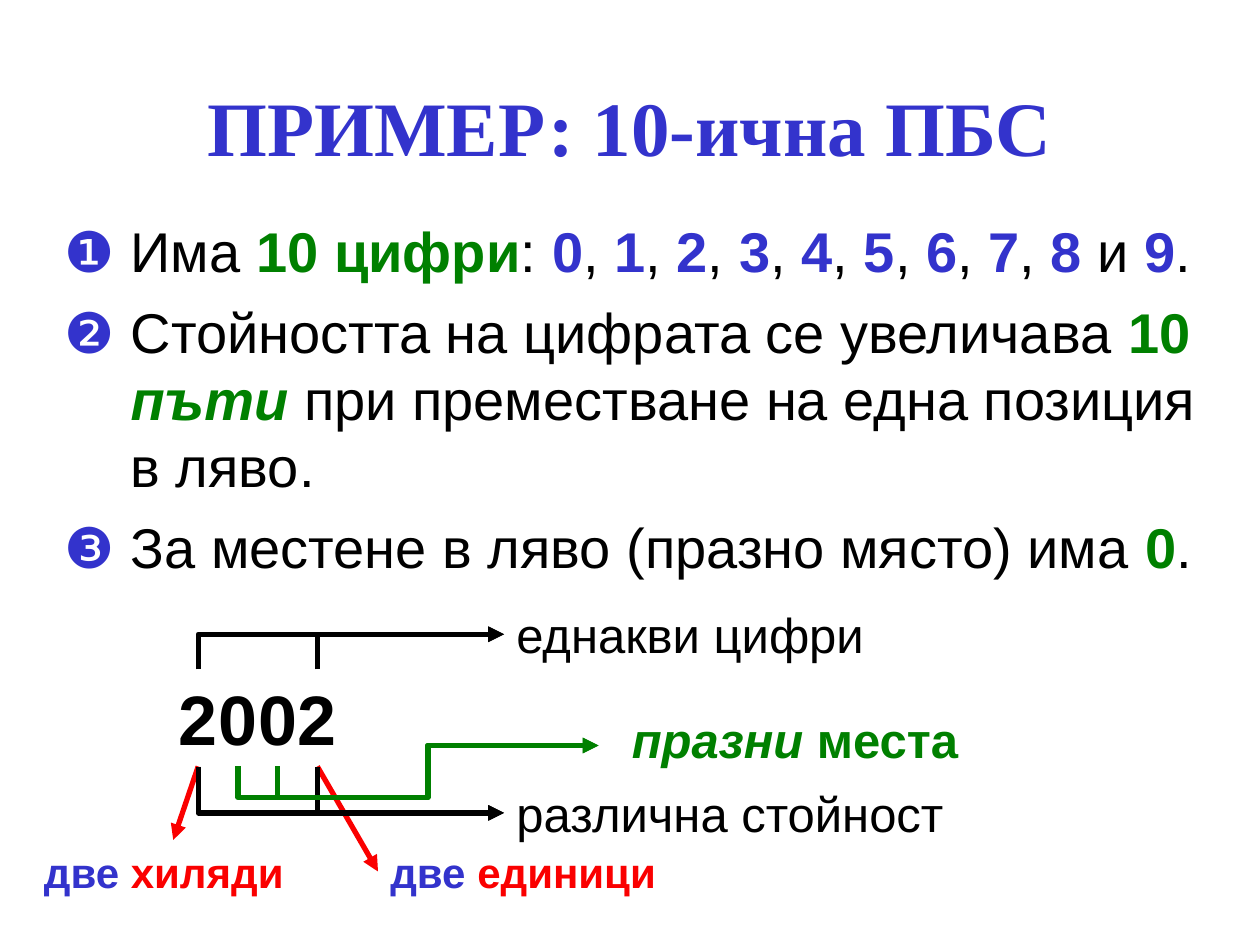
from lxml import etree
from pptx import Presentation
from pptx.dml.color import RGBColor
from pptx.enum.shapes import MSO_CONNECTOR
from pptx.enum.text import MSO_ANCHOR, MSO_AUTO_SIZE, PP_ALIGN
from pptx.oxml.ns import qn
from pptx.util import Pt

LINE, ELBOW = MSO_CONNECTOR.STRAIGHT, MSO_CONNECTOR.ELBOW
LEFT, MID = PP_ALIGN.LEFT, PP_ALIGN.CENTER
TOP, CENTER = MSO_ANCHOR.TOP, MSO_ANCHOR.MIDDLE
FIT = MSO_AUTO_SIZE.SHAPE_TO_FIT_TEXT
BLACK, BLUE, GREEN, RED = "000000", "3333CC", "008000", "FA0000"


def color(code):
    return RGBColor.from_string(code)


class Deck:
    def __init__(self):
        self.font = "Arial"
        self.width = 3
        self.prs = Presentation()
        self.prs.slide_width, self.prs.slide_height = Pt(720), Pt(540)
        self.slide = self.prs.slides.add_slide(self.prs.slide_layouts[6])

    def text(self, box, paras, size, before=0, font=None, align=LEFT,
             anchor=TOP, side=7.2, indent=0):
        shape = self.slide.shapes.add_textbox(*map(Pt, box))
        frame = shape.text_frame
        frame.word_wrap = True
        frame.vertical_anchor = anchor
        frame.margin_left = frame.margin_right = Pt(side)
        for num, runs in enumerate(paras):
            para = frame.add_paragraph() if num else frame.paragraphs[0]
            para.alignment = align
            para.space_before = Pt(before)
            if indent:
                props = para._p.get_or_add_pPr()
                props.set("marL", str(Pt(indent)))
                props.set("indent", str(Pt(-indent)))
            for words, tint, style in runs:
                run = para.add_run()
                run.text = words
                run.font.name = font or self.font
                run.font.size = Pt(size)
                run.font.bold = "b" in style
                run.font.italic = "i" in style
                run.font.color.rgb = color(tint)
        return frame

    def label(self, left, top, wide, runs, size=28):
        high = 41 if size == 28 else 36
        frame = self.text((left, top, wide, high), [runs], size, size * 0.625)
        frame.auto_size = FIT

    def arrow(self, start, end, tint, kind=LINE):
        link = self.slide.shapes.add_connector(kind, *map(Pt, start + end))
        link.line.color.rgb = color(tint)
        link.line.width = Pt(self.width)
        line = link.line._get_or_add_ln()
        etree.SubElement(line, qn("a:tailEnd"), type="triangle")
        props = link._element.spPr
        etree.SubElement(props, qn("a:effectLst"))
        return props

    def bend(self, start, end, tint, turn=None):
        (x1, y1), (x2, y2) = start, end
        wide, high = abs(y2 - y1), x2 - x1
        left, top = (x1 + x2 - wide) / 2, (y1 + y2 - high) / 2
        props = self.arrow((left, top), (left + wide, top + high), tint, ELBOW)
        rise = y2 < y1
        frame = props.find(qn("a:xfrm"))
        frame.set("rot", str((90 if rise else 270) * 60000))
        frame.set("flipH", "1")
        if rise:
            frame.set("flipV", "1")
        geom = props.find(qn("a:prstGeom"))
        geom.set("prst", "bentConnector4" if turn else "bentConnector2")
        if turn:
            tx, ty = turn
            parts = (ty - y1) / (y2 - y1), (tx - x1) / high
            guides = geom.find(qn("a:avLst"))
            for num, part in enumerate(parts, 1):
                etree.SubElement(guides, qn("a:gd"), name=f"adj{num}",
                                 fmla=f"val {round(part * 100000)}")


def main():
    deck = Deck()
    deck.text((54, 42, 612, 60), [[("ПРИМЕР: 10-ична ПБС", BLUE, "b")]], 44,
              font="Times New Roman", align=MID, anchor=CENTER)

    first = [("❶", BLUE, ""), (" Има ", BLACK, ""),
             ("10 цифри", GREEN, "b"), (": ", BLACK, "")]
    for num, gap in enumerate([", "] * 8 + [" и ", "."]):
        first += [(str(num), BLUE, "b"), (gap, BLACK, "")]
    second = [("❷ ", BLUE, ""),
              ("Стойността на цифрата се увеличава ", BLACK, ""),
              ("10 ", GREEN, "b"), ("пъти", GREEN, "bi"),
              (" при преместване на една позиция в ляво.", BLACK, "")]
    third = [("❸ ", BLUE, ""),
             ("За местене в ляво (празно място) има ", BLACK, ""),
             ("0", GREEN, "b"), (".", BLACK, "")]
    deck.text((30, 120, 666, 222), [first, second, third], 32, 8, indent=37.5)

    step, top, foot = 22.7, 382.5, 438
    mids = [113.25 + step * num for num in range(4)]
    for mid, digit in zip(mids, "2002"):
        deck.text((mid - step / 2, top, step, foot - top),
                  [[(digit, BLACK, "b")]], 40, 25, align=MID, side=0)

    deck.label(288, 342, 222, [("еднакви цифри", BLACK, "")])
    for left, wide, word in (18, 162, "хиляди"), (216, 174, "единици"):
        deck.label(left, 480, wide,
                   [("две ", BLUE, "b"), (word, RED, "b")], 24)
    deck.label(288, 444, 282, [("различна стойност", BLACK, "")])
    deck.label(354, 402, 276, [("празни", GREEN, "bi"),
                               (" места", GREEN, "b")])

    twos, zeros = mids[::3], mids[1:3]
    for mid in twos:
        deck.bend((mid, top), (288, 362.5), BLACK)
    for mid, end in zip(twos, [(99, 480), (216, 498)]):
        deck.arrow((mid, foot), end, RED)
    for mid in twos:
        deck.bend((mid, foot), (288, 464.5), BLACK)
    for mid in zeros:
        deck.bend((mid, foot), (342, 426), GREEN, (244.5, 455.8))

    deck.prs.save("out.pptx")


if __name__ == "__main__":
    main()
